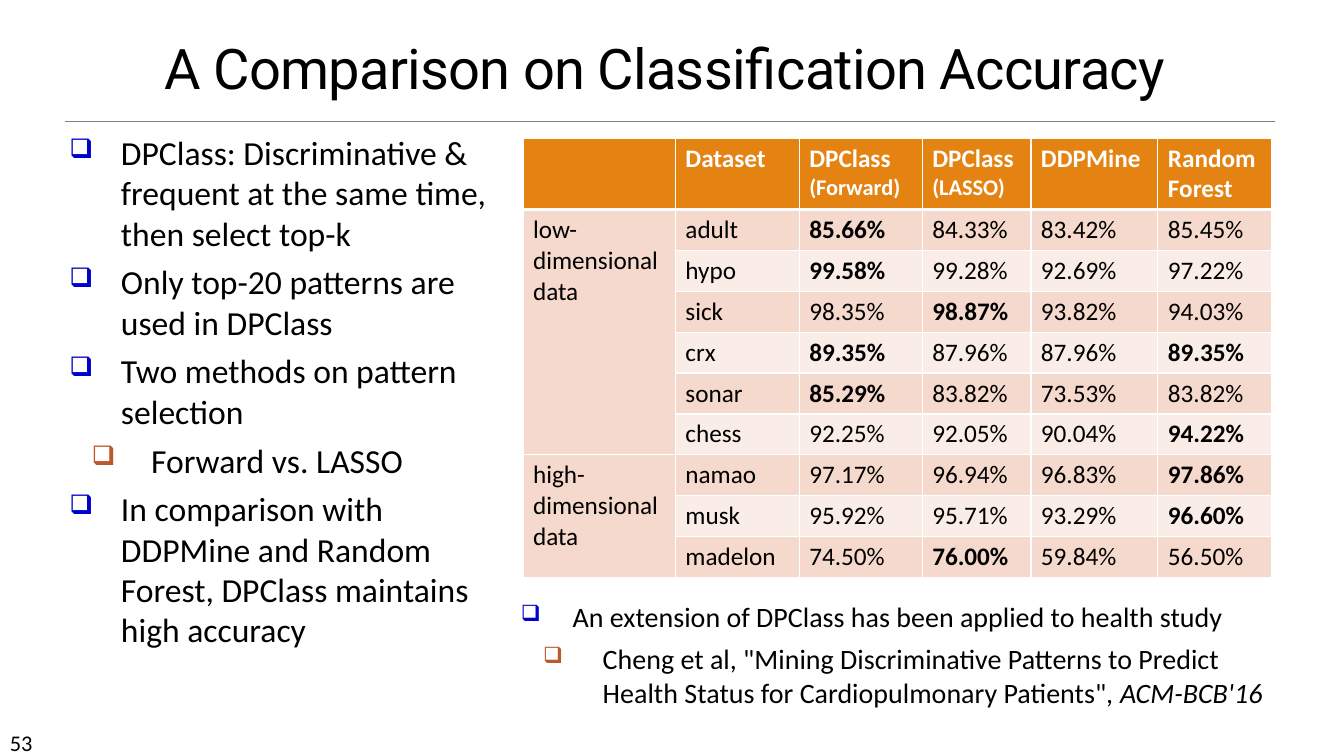
from lxml.etree import SubElement
from pptx import Presentation
from pptx.dml.color import RGBColor
from pptx.enum.shapes import MSO_CONNECTOR
from pptx.enum.text import MSO_ANCHOR, MSO_AUTO_SIZE, PP_ALIGN
from pptx.oxml import parse_xml
from pptx.oxml.ns import nsdecls, qn
from pptx.util import Cm, Pt

COLORS = {
    "text": "000000", "white": "FFFFFF", "rule": "808080",
    "bullet": "0000CC", "sub_bullet": "BD582C",
    "header": "E48312", "odd": "F5D9CC", "even": "FAEDE7",
}


def add_run(p, text, size, color="text", font="Calibri", bold=False, italic=False):
    r = p.add_run()
    r.text = text
    r.font.size = Pt(size)
    r.font.name = font
    r.font.bold = bold
    r.font.italic = italic
    r.font.color.rgb = RGBColor.from_string(COLORS[color])
    return r


def add_bullets(s, box, size, items):
    """Each item is a level followed by its runs, as (text, italic) pairs."""
    tf = s.shapes.add_textbox(*map(Cm, box)).text_frame
    tf.word_wrap = True
    for i, (level, *runs) in enumerate(items):
        p = tf.paragraphs[0] if i == 0 else tf.add_paragraph()
        p.level = level
        margin, hang, color = [(1.3, 1.3, "bullet"), (2.06, 1.5, "sub_bullet")][level]
        pPr = p._p.get_or_add_pPr()
        pPr.set("marL", str(Cm(margin)))
        pPr.set("indent", str(-Cm(hang)))
        clr = SubElement(pPr, qn("a:buClr"))
        SubElement(clr, qn("a:srgbClr"), val=COLORS[color])
        SubElement(pPr, qn("a:buSzPct"), val="80000")
        SubElement(pPr, qn("a:buChar"), char="❑")
        if i:
            p.space_before = Pt(6)
        for text, italic in runs:
            add_run(p, text, size, italic=italic)


prs = Presentation()
prs.slide_width, prs.slide_height = Cm(33.87), Cm(19.05)
s = prs.slides.add_slide(prs.slide_layouts[5])

# Title
title = s.shapes.title
title.left, title.top, title.width, title.height = map(Cm, (0.97, 0.61, 31.57, 2.06))
tf = title.text_frame
tf.auto_size = MSO_AUTO_SIZE.NONE
tf.vertical_anchor = MSO_ANCHOR.BOTTOM
p = tf.paragraphs[0]
p.alignment = PP_ALIGN.CENTER
p.line_spacing = 0.85
r = add_run(p, "A Comparison on Classification Accuracy", 40, font="Roboto")
r.font._element.set("spc", "-50")

# Rule under the title
rule = s.shapes.add_connector(MSO_CONNECTOR.STRAIGHT, Cm(1.65), Cm(3.05), Cm(32.13), Cm(3.05))
rule.line.color.rgb = RGBColor.from_string(COLORS["rule"])
rule.line.width = Pt(0.5)
SubElement(rule._element.spPr, qn("a:effectLst"))

# Slide number
tf = s.shapes.add_textbox(Cm(0), Cm(18.24), Cm(2.97), Cm(0.76)).text_frame
tf.word_wrap = True
add_run(tf.paragraphs[0], "53", 16)

# Main points
add_bullets(s, (1.5, 3.2, 11.68, 13.31), 24, [
    (0, ("DPClass: Discriminative & frequent at the same time, then select top-k", False)),
    (0, ("Only top-20 patterns are used in DPClass", False)),
    (0, ("Two methods on pattern selection", False)),
    (1, ("Forward vs. LASSO", False)),
    (0, ("In comparison with DDPMine and Random Forest, "
         "DPClass maintains high accuracy", False)),
])

# Accuracy table: the best value of each row is bold
header = ["", "Dataset", "DPClass\n(Forward)", "DPClass\n(LASSO)", "DDPMine", "Random\nForest"]
accuracy = [
    ("adult", 85.66, 84.33, 83.42, 85.45),
    ("hypo", 99.58, 99.28, 92.69, 97.22),
    ("sick", 98.35, 98.87, 93.82, 94.03),
    ("crx", 89.35, 87.96, 87.96, 89.35),
    ("sonar", 85.29, 83.82, 73.53, 83.82),
    ("chess", 92.25, 92.05, 90.04, 94.22),
    ("namao", 97.17, 96.94, 96.83, 97.86),
    ("musk", 95.92, 95.71, 93.29, 96.60),
    ("madelon", 74.50, 76.00, 59.84, 56.50),
]
groups = {1: "low-\ndimensional\ndata", 7: "high-\ndimensional\ndata"}
col_widths = [3.84, 3.12, 3.1, 2.74, 3.2, 2.87]
row_heights = [1.8] + [1.03] * len(accuracy)

table = s.shapes.add_table(len(row_heights), len(col_widths), Cm(13.18), Cm(3.48),
                           Cm(sum(col_widths)), Cm(sum(row_heights))).table
for column, width in zip(table.columns, col_widths):
    column.width = Cm(width)
for row, height in zip(table.rows, row_heights):
    row.height = Cm(height)

rows = [header]
for i, (name, *values) in enumerate(accuracy, 1):
    rows.append([groups.get(i, ""), name] + [f"{v:.2f}%" for v in values])

for i, row in enumerate(rows):
    best = f"{max(accuracy[i - 1][1:]):.2f}%" if i else None
    for j, text in enumerate(row):
        cell = table.cell(i, j)
        tcPr = cell._tc.get_or_add_tcPr()
        for side in "LRTB":
            thick = (i, side) in [(0, "B"), (1, "T")]
            tcPr.append(parse_xml(
                f'<a:ln{side} {nsdecls("a")} w="{Pt(3 if thick else 1)}"><a:solidFill>'
                f'<a:srgbClr val="{COLORS["white"]}"/></a:solidFill></a:ln{side}>'))
        fill = "header" if i == 0 else "odd" if i % 2 else "even"
        cell.fill.solid()
        cell.fill.fore_color.rgb = RGBColor.from_string(COLORS[fill])
        if not text:
            continue
        for k, line in enumerate(text.split("\n")):
            p = cell.text_frame.paragraphs[0] if k == 0 else cell.text_frame.add_paragraph()
            add_run(p, line, 16 if line.startswith("(") else 18,
                    color="text" if i else "white", bold=i == 0 or text == best)

table.cell(1, 0).merge(table.cell(6, 0))
table.cell(7, 0).merge(table.cell(9, 0))

# Note on the extension
add_bullets(s, (12.88, 14.99, 20.09, 3.05), 20, [
    (0, ("An extension of DPClass has been applied to health study", False)),
    (1, ('Cheng et al, "Mining Discriminative Patterns to Predict Health Status '
         'for Cardiopulmonary Patients", ', False), ("ACM-BCB'16", True)),
])

prs.save("out.pptx")
